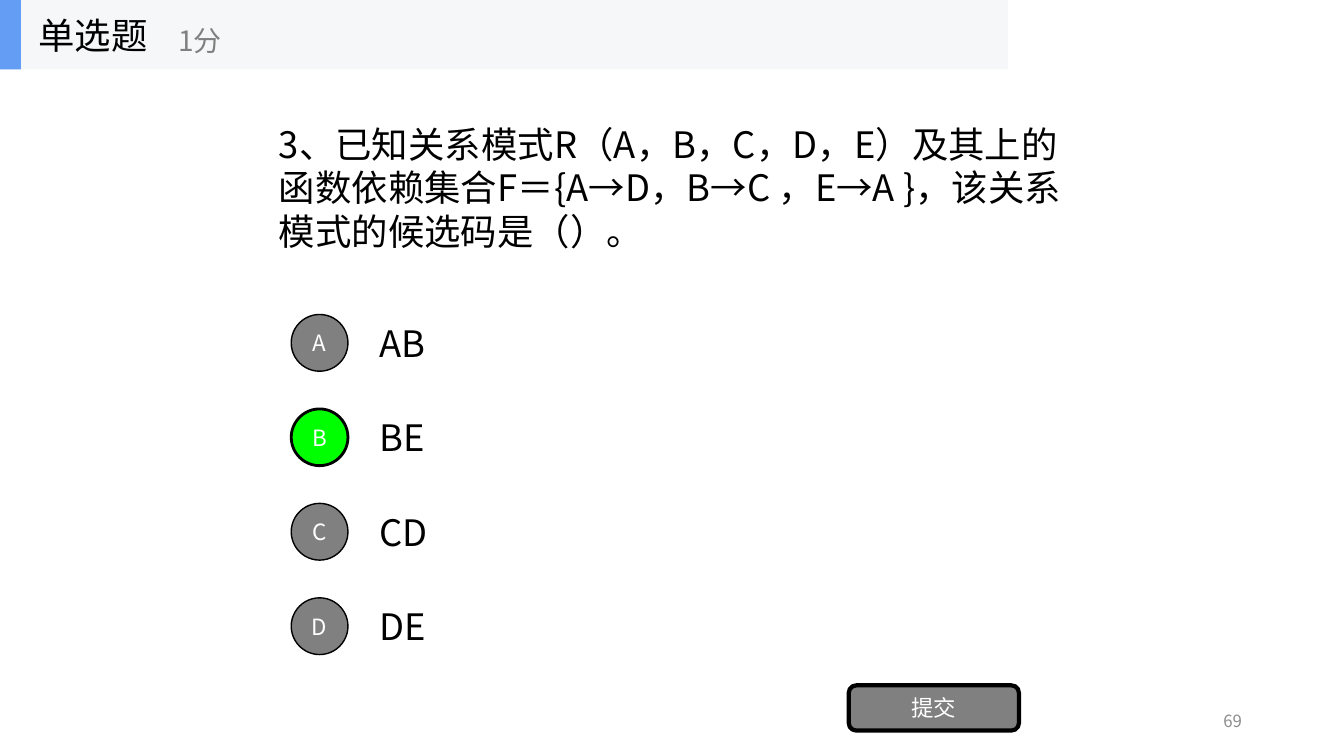
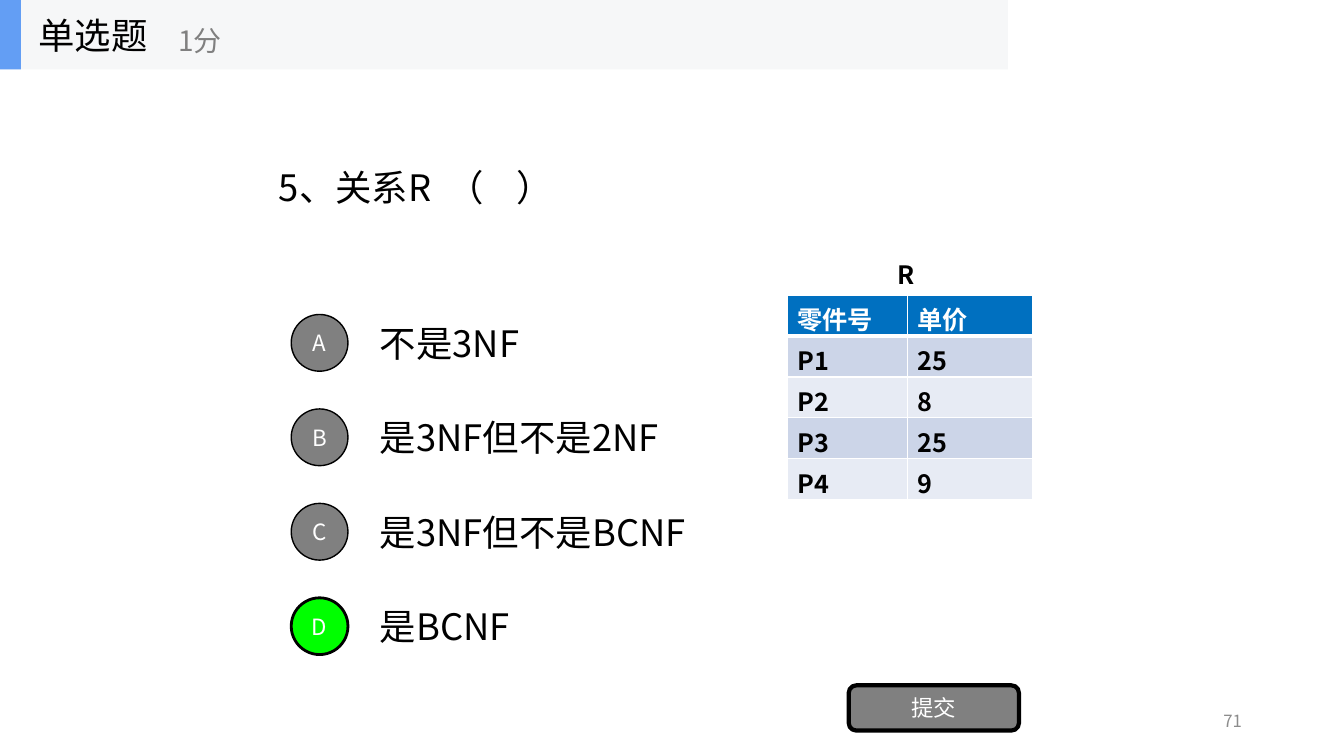
from dataclasses import dataclass

from lxml import etree
from pptx import Presentation
from pptx.dml.color import RGBColor
from pptx.enum.shapes import MSO_SHAPE
from pptx.enum.text import MSO_ANCHOR, MSO_AUTO_SIZE, PP_ALIGN
from pptx.oxml.ns import qn
from pptx.util import Cm, Pt

RECT, OVAL, ROUND = MSO_SHAPE.RECTANGLE, MSO_SHAPE.OVAL, MSO_SHAPE.ROUNDED_RECTANGLE
LEFT, MID, RIGHT = PP_ALIGN.LEFT, PP_ALIGN.CENTER, PP_ALIGN.RIGHT
CENTER, TOP = MSO_ANCHOR.MIDDLE, MSO_ANCHOR.TOP
FIXED = MSO_AUTO_SIZE.NONE

FONT = "Noto Sans CJK SC"
BLACK, WHITE, GRAY = "000000", "FFFFFF", "808080"
PALE, BLUE, GREEN, FAINT = "F6F7F8", "639EF4", "00FF00", "8C8C8C"
HEAD, ODD, EVEN = "0070C0", "CCD5E8", "E7EBF4"

BAND = 1.75                     # height of the header band
ROW, STEP, TALL = 7.75, 2.38, 1.78  # first option, pitch, height
DOT = 1.43                      # diameter of an option badge


@dataclass
class Box:
    x: float
    y: float
    w: float
    h: float

    def place(self) -> tuple:
        return Cm(self.x), Cm(self.y), Cm(self.w), Cm(self.h)


@dataclass
class Style:
    size: int
    color: str = BLACK
    bold: bool = False
    align: PP_ALIGN = LEFT
    anchor: MSO_ANCHOR = CENTER


@dataclass
class Quiz:
    page: str
    ask: str
    options: list[str]
    answer: int
    grid: list[tuple[str, str]] | None = None


BODY = Style(26)
BADGE = Style(16, WHITE, align=MID)

QUIZZES = [
    Quiz("69", "3、已知关系模式R（A，B，C，D，E）及其上的函数依赖集合F＝"
         "{A→D，B→C ，E→A }，该关系模式的候选码是（）。",
         ["AB", "BE", "CD", "DE"], 1),
    Quiz("71", "5、关系R  （    ）",
         ["不是3NF", "是3NF但不是2NF", "是3NF但不是BCNF", "是BCNF"], 3,
         [("零件号", "单价"), ("P1", "25"), ("P2", "8"), ("P3", "25"), ("P4", "9")]),
]


def rgb(code: str) -> RGBColor:
    return RGBColor.from_string(code)


def write(frame, text: str, style: Style) -> None:
    """Fill a text frame and format its runs."""
    frame.text = text
    frame.word_wrap = True
    for para in frame.paragraphs:
        para.alignment = style.align
        for run in para.runs:
            font = run.font
            font.name, font.size, font.bold = FONT, Pt(style.size), style.bold
            font.color.rgb = rgb(style.color)
            etree.SubElement(run.font._element, qn("a:ea"), typeface=FONT)


def label(slide, box: Box, text: str, style: Style) -> None:
    frame = slide.shapes.add_textbox(*box.place()).text_frame
    write(frame, text, style)
    frame.vertical_anchor = style.anchor


def shape(slide, kind: MSO_SHAPE, box: Box, fill: str, line: float = 0, text: str = ""):
    item = slide.shapes.add_shape(kind, *box.place())
    item.shadow.inherit = False
    item.fill.solid()
    item.fill.fore_color.rgb = rgb(fill)
    if line:
        item.line.color.rgb = rgb(BLACK)
        item.line.width = Pt(line)
    else:
        item.line.fill.background()
    if text:
        write(item.text_frame, text, BADGE)
        item.text_frame.vertical_anchor = CENTER
    return item


def header(slide) -> None:
    shape(slide, RECT, Box(0, 0, 25.4, BAND), PALE)
    mark = shape(slide, RECT, Box(0, 0, 0.53, BAND), BLUE)
    title = slide.shapes.title
    title.left, title.top, title.width, title.height = Box(0.71, 0, 5.28, BAND).place()
    write(title.text_frame, "单选题", BODY)
    title.text_frame.vertical_anchor = CENTER
    title.text_frame.auto_size = FIXED
    mark.element.addnext(title.element)  # keep the title above the band
    label(slide, Box(4.24, 0.3, 6.35, 1.42), "1分", Style(20, GRAY))


def choices(slide, options: list[str], answer: int) -> None:
    gap = (TALL - DOT) / 2
    for i, (key, text) in enumerate(zip("ABCD", options)):
        top = ROW + i * STEP
        hit = i == answer
        label(slide, Box(9.32, top, 17.78, TALL), text, BODY)
        shape(slide, OVAL, Box(7.34, top + gap, DOT, DOT),
              GREEN if hit else GRAY, 2 if hit else 1, key)


def edge(cell, side: str, width: float) -> None:
    """Draw one white cell border."""
    line = etree.SubElement(cell._tc.get_or_add_tcPr(), qn(f"a:ln{side}"), w=str(Pt(width)))
    fill = etree.SubElement(line, qn("a:solidFill"))
    etree.SubElement(fill, qn("a:srgbClr"), val=WHITE)


def table(slide, grid: list[tuple[str, str]]) -> None:
    label(slide, Box(22.38, 6.4, 0.91, 1.02), "R", Style(18, bold=True, anchor=TOP))
    box = Box(19.84, 7.44, 6.17, 5.15)
    tab = slide.shapes.add_table(len(grid), 2, *box.place()).table
    for col, width in zip(tab.columns, (3.02, 3.15)):
        col.width = Cm(width)
    for r, line in enumerate(grid):
        fill = HEAD if r == 0 else ODD if r % 2 else EVEN
        for c, text in enumerate(line):
            cell = tab.cell(r, c)
            write(cell.text_frame, text, Style(18, BLACK if r else WHITE, True))
            for side in "LRTB":
                thick = (r, side) in ((0, "B"), (1, "T"))
                edge(cell, side, 3 if thick else 1)
            cell.fill.solid()
            cell.fill.fore_color.rgb = rgb(fill)


def build(deck, quiz: Quiz) -> None:
    slide = deck.slides.add_slide(deck.slide_layouts[5])
    label(slide, Box(23.93, 17.65, 7.62, 1.02), quiz.page, Style(12, FAINT, align=RIGHT))
    label(slide, Box(6.78, 1.75, 20.32, 5.94), quiz.ask, BODY)
    choices(slide, quiz.options, quiz.answer)
    shape(slide, ROUND, Box(21.39, 17.27, 4.29, 1.14), GRAY, 3, "提交")
    if quiz.grid:
        table(slide, quiz.grid)
    header(slide)


def main() -> None:
    deck = Presentation()
    deck.slide_width, deck.slide_height = Cm(33.87), Cm(19.05)
    for quiz in QUIZZES:
        build(deck, quiz)
    deck.save("out.pptx")


if __name__ == "__main__":
    main()
